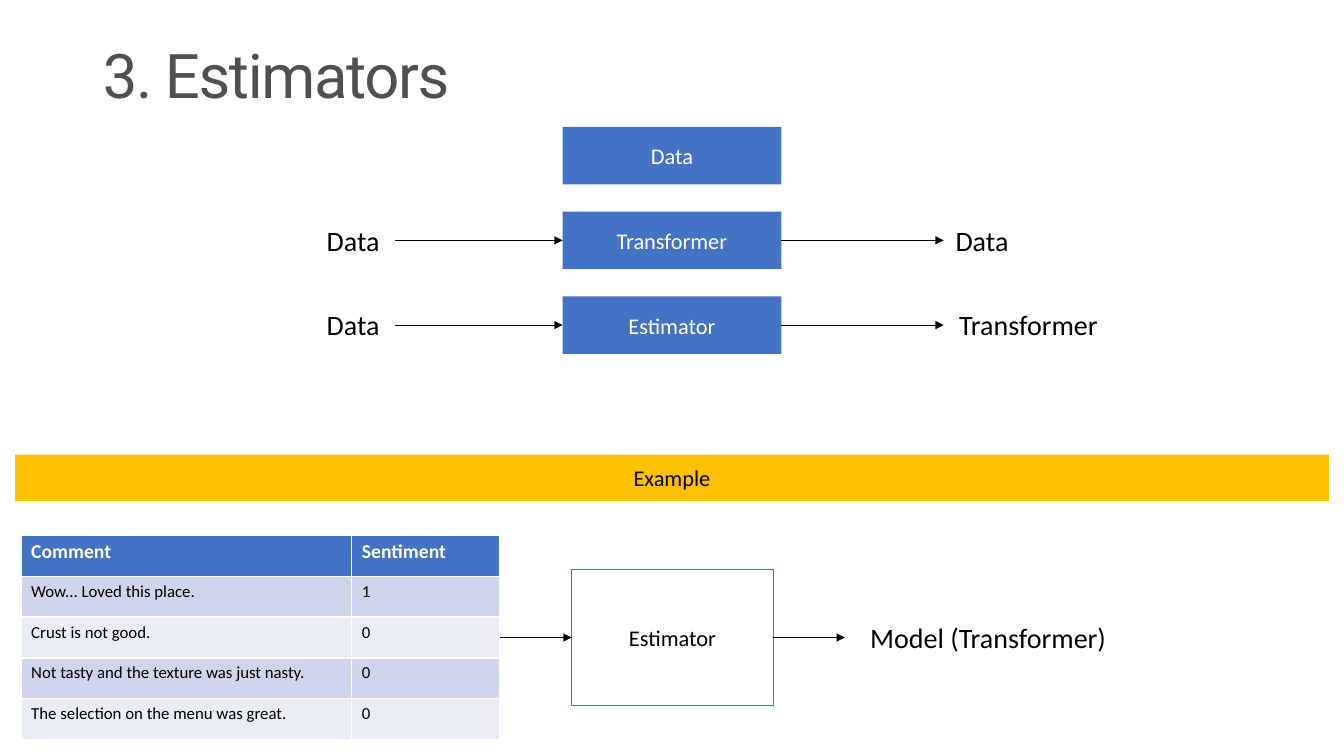
from lxml import etree
from pptx import Presentation
from pptx.dml.color import RGBColor
from pptx.enum.shapes import MSO_CONNECTOR, MSO_SHAPE
from pptx.enum.text import MSO_ANCHOR, PP_ALIGN
from pptx.oxml.ns import qn
from pptx.util import Inches, Pt

RECT = MSO_SHAPE.RECTANGLE
STRAIGHT = MSO_CONNECTOR.STRAIGHT
TOP, MIDDLE = MSO_ANCHOR.TOP, MSO_ANCHOR.MIDDLE
LEFT, CENTER = PP_ALIGN.LEFT, PP_ALIGN.CENTER
LEFT_SIDE, RIGHT_SIDE = 1, 3

# Content
TITLE = "3. Estimators"
STAGES = [  # input, box, output, output width
    (None, "Data", None, None),
    ("Data", "Transformer", "Data", 0.76),
    ("Data", "Estimator", "Transformer", 1.68),
]
BANNER = "Example"
MODEL_INPUT, MODEL_OUTPUT = "Estimator", "Model (Transformer)"
COMMENTS = [
    ("Comment", "Sentiment"),
    ("Wow... Loved this place.", "1"),
    ("Crust is not good.", "0"),
    ("Not tasty and the texture was just nasty.", "0"),
    ("The selection on the menu was great.", "0"),
]
COLORS = {
    "blue": "4472C4", "gold": "FFC000", "white": "FFFFFF", "black": "000000",
    "title": "505050", "band_dark": "CFD5EA", "band_light": "E9EBF5",
}

# Layout, in inches
STAGE_X, STAGE_Y, STAGE_W, STAGE_H, STAGE_PITCH = 5.58, 1.26, 2.17, 0.57, 0.84
INPUT_X, INPUT_W, ARROW_START, OUTPUT_X = 3.24, 0.69, 3.92, 9.36
LABEL_H = 0.34
TABLE_X, TABLE_Y, TABLE_H, COLUMN_WIDTHS = 0.21, 5.31, 2.03, (3.28, 1.47)
MODEL_X, MODEL_Y, MODEL_W, MODEL_H = 5.67, 5.65, 2, 1.35


def color(name):
    return RGBColor.from_string(COLORS[name])


def style(paragraph, size, ink, align=LEFT, face="Calibri", bold=False):
    paragraph.alignment = align
    font = paragraph.font
    font.name, font.size, font.bold = face, Pt(size), bold
    font.color.rgb = color(ink)


def add_box(text, x, y, w, h, fill, ink, outline=None):
    box = slide.shapes.add_shape(RECT, Inches(x), Inches(y), Inches(w), Inches(h))
    box.shadow.inherit = False
    box.fill.solid()
    box.fill.fore_color.rgb = color(fill)
    if outline:
        box.line.color.rgb = color(outline)
        box.line.width = Pt(1)
    else:
        box.line.fill.background()
    frame = box.text_frame
    frame.margin_left = frame.margin_right = 0
    frame.vertical_anchor = MIDDLE
    frame.text = text
    style(frame.paragraphs[0], 16, ink, CENTER)
    return box


def add_label(text, x, center_y, w, align=LEFT):
    label = slide.shapes.add_textbox(
        Inches(x), Inches(center_y - LABEL_H / 2), Inches(w), Inches(LABEL_H))
    frame = label.text_frame
    frame.word_wrap = True
    frame.margin_left = frame.margin_right = 0
    frame.margin_top = frame.margin_bottom = 0
    frame.text = text
    style(frame.paragraphs[0], 20, "black", align)


def add_arrow(x1, x2, y, start=None, end=None):
    arrow = slide.shapes.add_connector(
        STRAIGHT, Inches(x1), Inches(y), Inches(x2), Inches(y))
    if start:
        arrow.begin_connect(start, RIGHT_SIDE)
    if end:
        arrow.end_connect(end, LEFT_SIDE)
    arrow.line.color.rgb = color("black")
    arrow.line.width = Pt(0.5)
    etree.SubElement(arrow.line._get_or_add_ln(), qn("a:tailEnd"), type="triangle")
    etree.SubElement(arrow._element.spPr, qn("a:effectLst"))


prs = Presentation()
prs.slide_width, prs.slide_height = Inches(13.33), Inches(7.5)
slide = prs.slides.add_slide(prs.slide_layouts[5])

# Title
title = slide.shapes.title
title.left, title.top = Inches(0.92), Inches(0.4)
title.width, title.height = Inches(11.5), Inches(1.45)
title.text_frame.text = TITLE
title.text_frame.vertical_anchor = TOP
heading = title.text_frame.paragraphs[0]
heading.line_spacing = 0.9
style(heading, 44, "title", face="Roboto")
heading.runs[0].font._element.set("spc", "-100")

# Stages with their inputs and outputs
for i, (source, stage, result, result_w) in enumerate(STAGES):
    y = STAGE_Y + i * STAGE_PITCH
    stage_box = add_box(stage, STAGE_X, y, STAGE_W, STAGE_H, "blue", "white")
    if source:
        center_y = y + STAGE_H / 2
        add_label(source, INPUT_X, center_y, INPUT_W)
        add_arrow(ARROW_START, STAGE_X, center_y, end=stage_box)
        add_arrow(STAGE_X + STAGE_W, OUTPUT_X, center_y, start=stage_box)
        add_label(result, OUTPUT_X, center_y, result_w, CENTER)

# Example banner
add_box(BANNER, 0.15, 4.51, 13.03, 0.46, "gold", "black")

# Comment table
comments = slide.shapes.add_table(
    len(COMMENTS), len(COLUMN_WIDTHS), Inches(TABLE_X), Inches(TABLE_Y),
    Inches(sum(COLUMN_WIDTHS)), Inches(TABLE_H)).table
for column, width in zip(comments.columns, COLUMN_WIDTHS):
    column.width = Inches(width)
for r, row in enumerate(COMMENTS):
    header = r == 0
    fill = "blue" if header else ("band_light", "band_dark")[r % 2]
    for c, text in enumerate(row):
        cell = comments.cell(r, c)
        cell.text = text
        cell.fill.solid()
        cell.fill.fore_color.rgb = color(fill)
        style(cell.text_frame.paragraphs[0], 14 if header else 12,
              "white" if header else "black", bold=header)

# Example estimator and its model
model_box = add_box(MODEL_INPUT, MODEL_X, MODEL_Y, MODEL_W, MODEL_H,
                    "white", "black", outline="blue")
model_center = MODEL_Y + MODEL_H / 2
add_arrow(TABLE_X + sum(COLUMN_WIDTHS), MODEL_X, model_center, end=model_box)
add_arrow(MODEL_X + MODEL_W, 8.38, model_center, start=model_box)
add_label(MODEL_OUTPUT, 8.63, model_center, 2.74)

prs.save("out.pptx")
